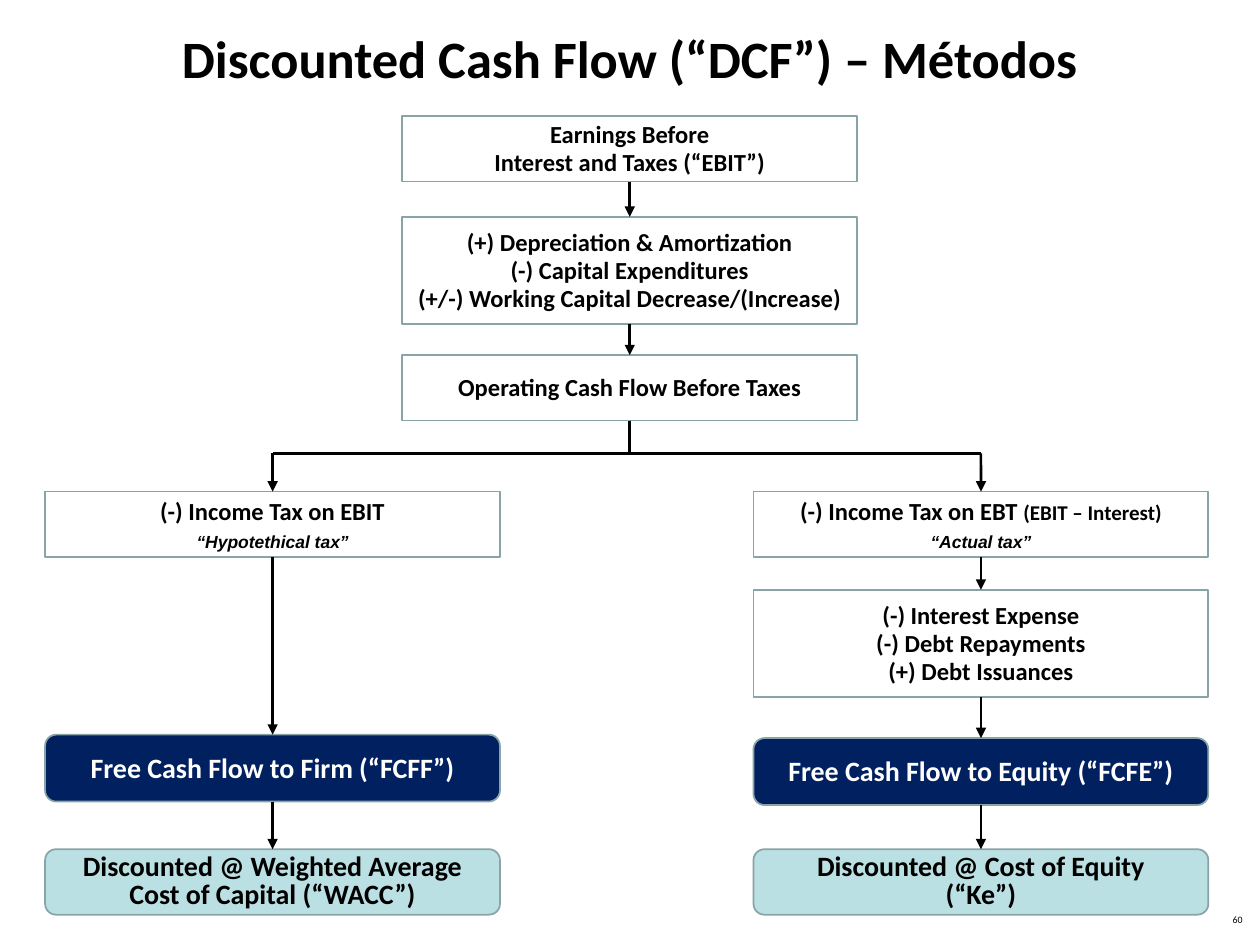
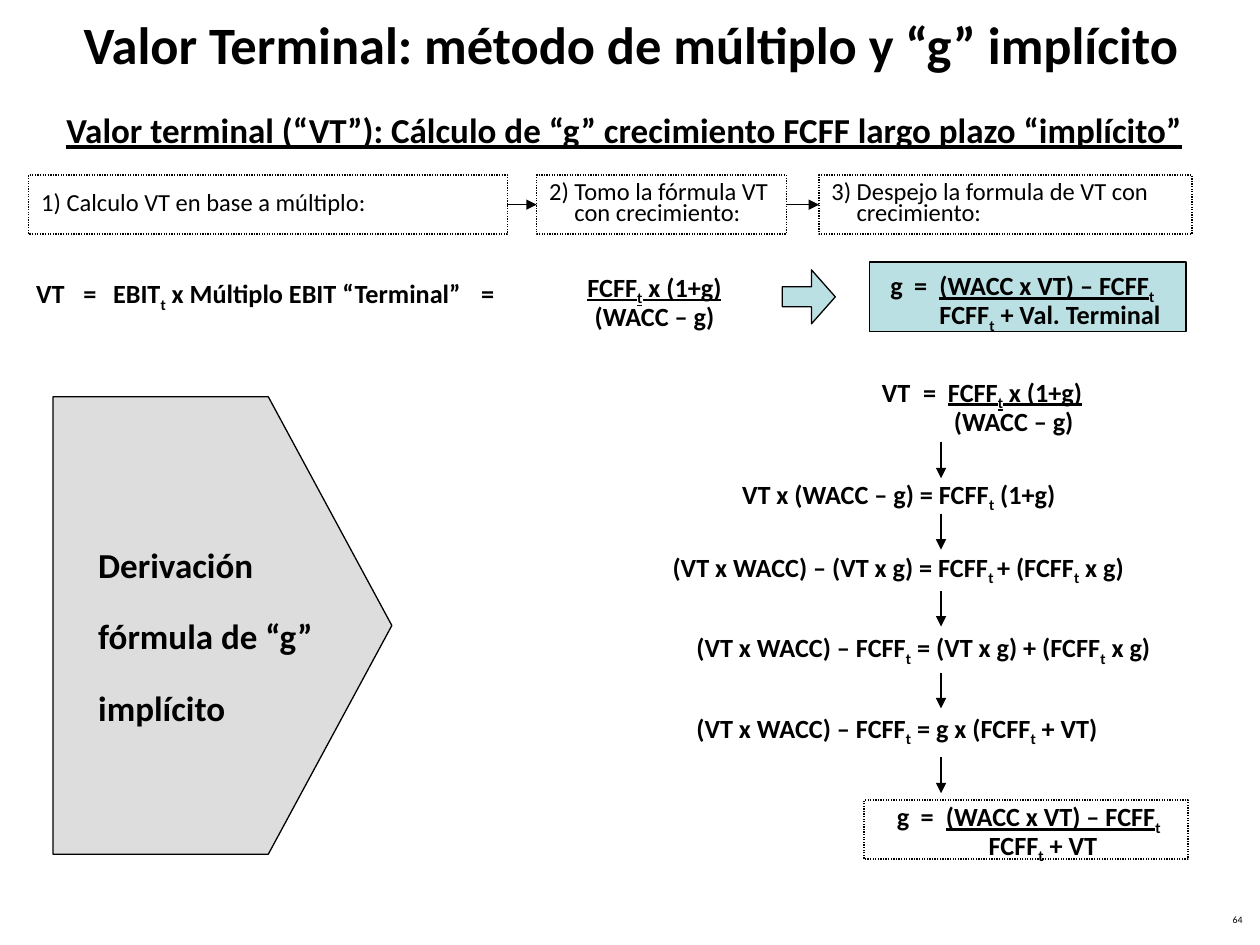
from dataclasses import dataclass

from lxml.etree import SubElement
from pptx import Presentation
from pptx.dml.color import RGBColor
from pptx.enum.dml import MSO_LINE
from pptx.enum.shapes import MSO_CONNECTOR, MSO_SHAPE
from pptx.enum.text import MSO_ANCHOR, PP_ALIGN
from pptx.oxml.ns import qn
from pptx.util import Cm, Pt

HUES = {
    "black": "000000",
    "white": "FFFFFF",
    "navy": "002060",
    "teal": "BBE0E3",
    "slate": "89A4A7",
    "gray": "DDDDDD",
}
FONT = "Calibri"
TOP, LEFT, BOTTOM, RIGHT = range(4)
MARKS = "_~^"  # toggles: underline, subscript, small


@dataclass(frozen=True)
class Style:
    form: MSO_SHAPE
    fill: str
    ink: str
    size: int
    pitch: int


@dataclass(frozen=True)
class Node:
    name: str
    x: float
    y: float
    h: float
    style: Style
    text: str
    anchor: MSO_ANCHOR = MSO_ANCHOR.MIDDLE


@dataclass(frozen=True)
class Step:
    x: float
    w: float
    space: float
    text: str


@dataclass(frozen=True)
class Line:
    x: float
    y: float
    w: float
    text: str


# Text
def hue(name):
    return RGBColor.from_string(HUES[name])


def pieces(text):
    """Yield each stretch of text with the marks that are on for it."""
    marks, bit = set(), ""
    for char in text:
        if char in MARKS:
            if bit:
                yield bit, set(marks)
            marks ^= {char}
            bit = ""
        else:
            bit += char
    if bit:
        yield bit, marks


def write(frame, text, *, size=15, color="black", bold=True, italic=False,
          font=FONT, align=PP_ALIGN.LEFT, anchor=MSO_ANCHOR.TOP, space=None,
          gap=0, hang=0, inset=0, tabs=()):
    """Fill a frame; inset shifts the paragraphs after the first."""
    frame.word_wrap = True
    frame.vertical_anchor = anchor
    for row, line in enumerate(text.split("\n")):
        para = frame.add_paragraph() if row else frame.paragraphs[0]
        props = para._p.get_or_add_pPr()
        shift = inset if row else hang
        if shift:
            props.set("marL", str(Cm(shift)))
            props.set("indent", str(-Cm(hang)))
        if tabs:
            stops = SubElement(props, qn("a:tabLst"))
            for stop in tabs:
                SubElement(stops, qn("a:tab"), pos=str(Cm(stop)), algn="l")
        para.alignment = align
        if space:
            para.line_spacing = space
        if row and gap:
            para.space_before = Pt(gap)
        for bit, marks in pieces(line):
            run = para.add_run()
            run.text = bit
            face = run.font
            face.name, face.bold, face.italic = font, bold, italic
            face.size = Pt(size - 2 if "^" in marks else size)
            face.color.rgb = hue(color)
            if "_" in marks:
                face.underline = True
            if "~" in marks:
                face._element.set("baseline", "-25000")


def label(slide, x, y, w, h, text, **form):
    box = slide.shapes.add_textbox(Cm(x), Cm(y), Cm(w), Cm(h))
    write(box.text_frame, text, **form)


# Shapes and lines
def paint(shape, fill=None, line="black", width=0.75, dotted=False):
    shape.shadow.inherit = False
    if fill:
        shape.fill.solid()
        shape.fill.fore_color.rgb = hue(fill)
    else:
        shape.fill.background()
    shape.line.color.rgb = hue(line)
    shape.line.width = Pt(width)
    if dotted:
        shape.line.dash_style = MSO_LINE.ROUND_DOT
    return shape


def block(slide, form, x, y, w, h, **look):
    shape = slide.shapes.add_shape(form, Cm(x), Cm(y), Cm(w), Cm(h))
    return paint(shape, **look)


def link(slide, start, end, width=1.5, head=True):
    """Join two ends, each an (x, y) point or a (shape, side) pair."""
    wire = slide.shapes.add_connector(MSO_CONNECTOR.STRAIGHT, 0, 0, 0, 0)
    if isinstance(start[0], (int, float)):
        wire.begin_x, wire.begin_y = Cm(start[0]), Cm(start[1])
    else:
        wire.begin_connect(*start)
    if isinstance(end[0], (int, float)):
        wire.end_x, wire.end_y = Cm(end[0]), Cm(end[1])
    else:
        wire.end_connect(*end)
    wire.line.color.rgb = hue("black")
    wire.line.width = Pt(width)
    props = wire.element.spPr
    if head:
        SubElement(props.find(qn("a:ln")), qn("a:tailEnd"), type="triangle")
    SubElement(props, qn("a:effectLst"))


def start_slide(deck, title, number, x, y, w):
    """Add a slide with its title and page number."""
    slide = deck.slides.add_slide(deck.slide_layouts[5])
    head = slide.shapes.title
    head.left, head.top, head.width, head.height = Cm(x), Cm(y), Cm(w), Cm(2.31)
    write(head.text_frame, title, size=30, align=PP_ALIGN.CENTER,
          anchor=MSO_ANCHOR.MIDDLE)
    label(slide, 19.38, 18.34, 5.92, 0.53, number, size=5.6, bold=False,
          align=PP_ALIGN.RIGHT, space=0.8)
    return slide


# Cash flow chart
STEP = Style(MSO_SHAPE.RECTANGLE, "white", "black", 14, 16)
FLOW = Style(MSO_SHAPE.ROUNDED_RECTANGLE, "navy", "white", 16, 18)
RATE = Style(MSO_SHAPE.ROUNDED_RECTANGLE, "teal", "black", 16, 16)
WIDE = 9.17
FIRM, MID, OWNER = 0.91, 8.11, 15.19
LOW, TALL = 1.32, 2.16
NODES = [
    Node("ebit", MID, 2.34, LOW, STEP,
         "Earnings Before\nInterest and Taxes (“EBIT”)"),
    Node("capex", MID, 4.37, TALL, STEP,
         "(+) Depreciation & Amortization\n(-) Capital Expenditures\n"
         "(+/-) Working Capital Decrease/(Increase)"),
    Node("cash", MID, 7.16, LOW, STEP, "Operating Cash Flow Before Taxes"),
    Node("firm tax", FIRM, 9.91, LOW, STEP, "(-) Income Tax on EBIT",
         MSO_ANCHOR.TOP),
    Node("firm flow", FIRM, 14.81, 1.35, FLOW,
         "Free Cash Flow to Firm (“FCFF”)"),
    Node("firm rate", FIRM, 17.12, LOW, RATE,
         "Discounted @ Weighted Average Cost of Capital (“WACC”)"),
    Node("owner tax", OWNER, 9.91, LOW, STEP,
         "(-) Income Tax on EBT ^(EBIT – Interest)^", MSO_ANCHOR.TOP),
    Node("debt", OWNER, 11.89, TALL, STEP,
         "(-) Interest Expense\n(-) Debt Repayments\n(+) Debt Issuances"),
    Node("owner flow", OWNER, 14.88, 1.35, FLOW,
         "Free Cash Flow to Equity (“FCFE”)"),
    Node("owner rate", OWNER, 17.12, LOW, RATE,
         "Discounted @ Cost of Equity\n(“Ke”)"),
]
CHAINS = [
    ("ebit", "capex", "cash"),
    ("firm tax", "firm flow", "firm rate"),
    ("owner tax", "debt", "owner flow", "owner rate"),
]


def draw_methods(deck):
    slide = start_slide(deck, "Discounted Cash Flow (“DCF”) – Métodos", "60",
                        0, 0, 25.4)
    boxes = {}
    for node in NODES:
        style = node.style
        box = block(slide, style.form, node.x, node.y, WIDE, node.h,
                    fill=style.fill, line="slate", width=1)
        write(box.text_frame, node.text, size=style.size, color=style.ink,
              align=PP_ALIGN.CENTER, anchor=node.anchor,
              space=Pt(style.pitch))
        boxes[node.name] = box

    for x, text in ((FIRM, "“Hypotethical tax”"), (OWNER, "“Actual tax”")):
        label(slide, x + 2, 10.57, WIDE - 4, 0.69, text, size=10,
              italic=True, font="Arial", align=PP_ALIGN.CENTER)

    for chain in CHAINS:
        for upper, lower in zip(chain, chain[1:]):
            link(slide, (boxes[upper], BOTTOM), (boxes[lower], TOP))

    # Fork from the operating cash flow to both taxes
    fork, half = 9.14, WIDE / 2
    link(slide, (boxes["cash"], BOTTOM), (MID + half, fork), head=False)
    link(slide, (OWNER + half, fork), (FIRM + half, fork), head=False)
    for x, name in ((FIRM, "firm tax"), (OWNER, "owner tax")):
        link(slide, (x + half, fork), (boxes[name], TOP))


# Terminal value
STEPS = [
    Step(0.58, 9.65, 0.8, "1) Calculo VT en base a múltiplo:"),
    Step(10.82, 5.03, 0.7, "2) Tomo la fórmula VT con crecimiento:"),
    Step(16.51, 7.52, 0.7, "3) Despejo la formula de VT con crecimiento:"),
]
PROOF = [
    Line(14.71, 9.58, 7.47, "VT x (WACC – g) = FCFF~t~ (1+g)"),
    Line(13.31, 11.05, 10.31,
         "(VT x WACC) – (VT x g) = FCFF~t ~+ (FCFF~t~ x g)"),
    Line(13.79, 12.67, 10.31,
         "(VT x WACC) – FCFF~t~ = (VT x g) + (FCFF~t~ x g)"),
    Line(13.79, 14.3, 10.31, "(VT x WACC) – FCFF~t~ = g x (FCFF~t~ + VT)"),
]
ARROWS = [8.92, 10.36, 11.91, 13.56, 15.27]
GROWTH = "_FCFF~t~ x (1+g)_\n(WACC – g)"
SOLVED = "g\t=\t_(WACC x VT) – FCFF_~t~\nFCFF~t~ + "


def draw_terminal(deck):
    slide = start_slide(
        deck, "Valor Terminal: método de múltiplo y “g” implícito", "64",
        0.79, -0.28, 23.88)
    label(slide, 1.09, 2.06, 23.4, 1.12,
          "_Valor terminal (“VT”): Cálculo de “g” crecimiento FCFF"
          " largo plazo “implícito”_", size=20)

    # Three steps
    last = None
    for step in STEPS:
        box = block(slide, MSO_SHAPE.RECTANGLE, step.x, 3.53, step.w, 1.19,
                    dotted=True)
        write(box.text_frame, step.text, size=14, bold=False, hang=0.51,
              anchor=MSO_ANCHOR.MIDDLE, space=step.space)
        if last:
            link(slide, (last, RIGHT), (box, LEFT), width=0.75)
        last = box

    # Formula of each step
    label(slide, 0.48, 5.54, 11.07, 0.84,
          "VT\t=\tEBIT~t~ x Múltiplo EBIT “Terminal”\t=", space=0.8,
          tabs=(0.95, 1.55, 8.97))
    label(slide, 11.1, 5.41, 4.19, 1.42, GROWTH, space=0.8, gap=1.9,
          align=PP_ALIGN.CENTER)
    arrow = block(slide, MSO_SHAPE.RIGHT_ARROW, 15.77, 5.44, 1.07, 1.09,
                  fill="teal")
    arrow.adjustments[0], arrow.adjustments[1] = 0.37, 0.45
    block(slide, MSO_SHAPE.RECTANGLE, 17.53, 5.28, 6.38, 1.4, fill="teal")
    label(slide, 17.7, 5.38, 6.17, 2.01, SOLVED + "Val. Terminal", space=0.8,
          inset=0.99, tabs=(0.48, 0.99))

    # Proof, line by line
    label(slide, 17.53, 7.52, 6.96, 1.42, "VT\t=\t" + GROWTH, space=0.8,
          gap=1.9, inset=1.45, tabs=(0.83, 1.33))
    for line in PROOF:
        label(slide, line.x, line.y, line.w, 0.84, line.text, space=0.8)
    for y in ARROWS:
        link(slide, (18.97, y), (18.97, y + 0.72), width=0.75)
    block(slide, MSO_SHAPE.RECTANGLE, 17.42, 16.13, 6.53, 1.19, dotted=True)
    label(slide, 17.83, 16.08, 6.17, 2.01, SOLVED + "VT", space=0.8,
          inset=1.85, tabs=(0.48, 0.99))

    # Pointer to the proof
    left, neck, tip, top, base = 1.07, 5.41, 7.9, 8, 17.22
    edge = [(neck, top), (tip, (top + base) / 2), (neck, base), (left, base)]
    pen = slide.shapes.build_freeform(Cm(left), Cm(top))
    pen.add_line_segments([(Cm(x), Cm(y)) for x, y in edge], close=True)
    paint(pen.convert_to_shape(), fill="gray")
    label(slide, 1.73, 10.24, 5.08, 4.57,
          "Derivación fórmula de “g” implícito", size=20, space=1.7)


def main():
    deck = Presentation()
    deck.slide_width, deck.slide_height = Cm(25.4), Cm(19.05)
    draw_methods(deck)
    draw_terminal(deck)
    deck.save("out.pptx")


if __name__ == "__main__":
    main()
